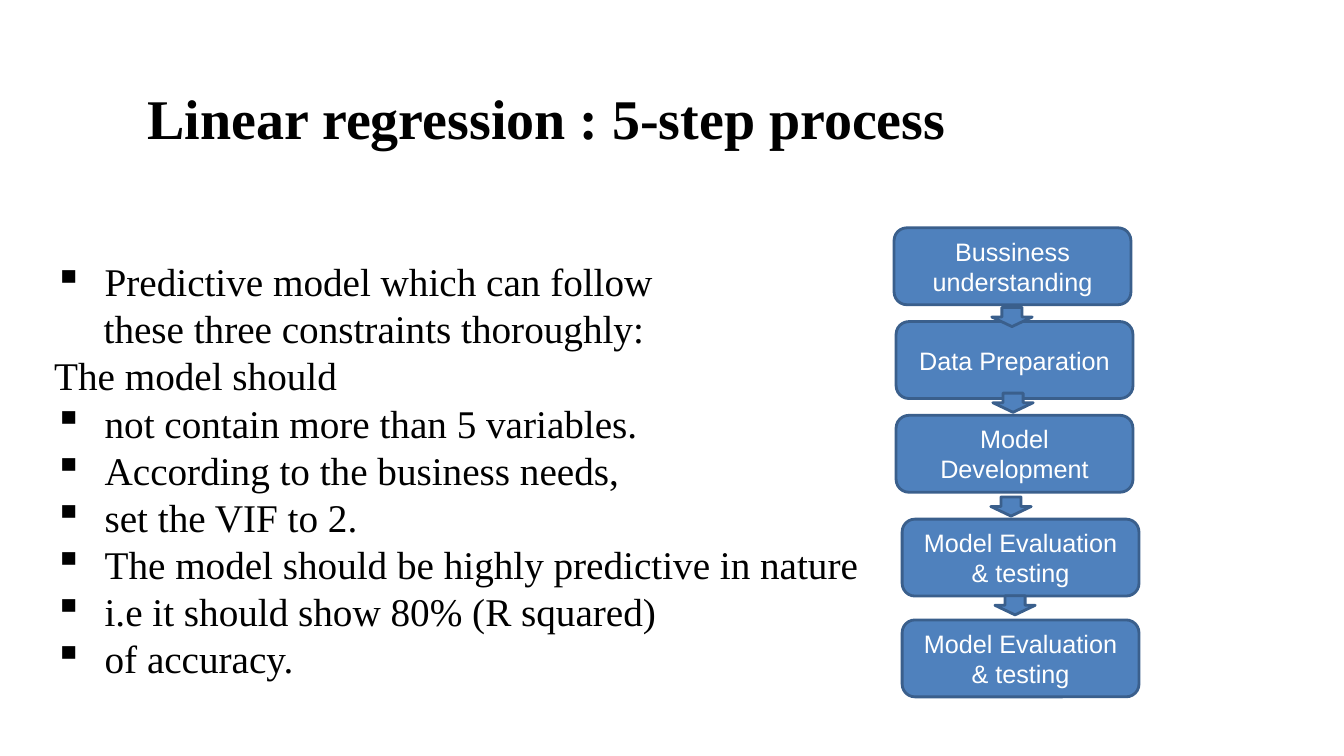
import pptx
import pptx.util
import pptx.dml.color
import pptx.enum.shapes
import pptx.enum.text
import pptx.oxml.ns
import lxml.etree
from typing import NamedTuple

Pt = pptx.util.Pt
Inches = pptx.util.Inches
Shape = pptx.enum.shapes.MSO_SHAPE
Align = pptx.enum.text.PP_ALIGN
Anchor = pptx.enum.text.MSO_ANCHOR

BLACK = pptx.dml.color.RGBColor(0x00, 0x00, 0x00)
WHITE = pptx.dml.color.RGBColor(0xFF, 0xFF, 0xFF)
BLUE = pptx.dml.color.RGBColor(0x4F, 0x81, 0xBD)
EDGE = pptx.dml.color.RGBColor(0x3A, 0x5F, 0x8C)
SERIF, SANS = "Times New Roman", "Arial"

deck = pptx.Presentation()
deck.slide_width, deck.slide_height = Inches(13.33), Inches(7.5)
slide = deck.slides.add_slide(deck.slide_layouts[6])

# Grid of 80 columns by 45 rows
COL = deck.slide_width / 80
ROW = deck.slide_height / 45


class Area(NamedTuple):
    col: float
    row: float
    cols: float
    rows: float

    def lengths(self) -> list[int]:
        return [round(n * unit) for n, unit in zip(self, (COL, ROW, COL, ROW))]


class Step(NamedTuple):
    text: str
    col: float
    row: float


class Arrow(NamedTuple):
    col: float
    row: float


class Point(NamedTuple):
    text: str
    mark: bool = True
    indent: float = 0


def style(para, face: str, size: int, color, bold: bool = False) -> None:
    for run in para.runs:
        font = run.font
        font.name, font.size, font.bold = face, Pt(size), bold
        font.color.rgb = color


def add_mark(para) -> None:
    props = para._p.get_or_add_pPr()
    props.set("marL", str(Inches(0.5)))
    props.set("indent", str(-Inches(0.5)))
    mark = lxml.etree.SubElement(props, pptx.oxml.ns.qn("a:buChar"))
    mark.set("char", "▪")


def add_frame(area: Area, anchor):
    frame = slide.shapes.add_textbox(*area.lengths()).text_frame
    frame.word_wrap = True
    frame.vertical_anchor = anchor
    return frame


def add_block(kind, area: Area):
    block = slide.shapes.add_shape(kind, *area.lengths())
    block.shadow.inherit = False
    block.fill.solid()
    block.fill.fore_color.rgb = BLUE
    block.line.color.rgb = EDGE
    block.line.width = Pt(2)
    return block


def add_step(step: Step) -> None:
    block = add_block(Shape.ROUNDED_RECTANGLE, Area(step.col, step.row, 14.1, 4.58))
    frame = block.text_frame
    frame.word_wrap = True
    frame.vertical_anchor = Anchor.MIDDLE
    frame.text = step.text
    frame.paragraphs[0].alignment = Align.CENTER
    style(frame.paragraphs[0], SANS, 18, WHITE)


def add_points(area: Area, points: list[Point]) -> None:
    frame = add_frame(area, Anchor.TOP)
    frame.text = "\n".join(point.text for point in points)
    for para, point in zip(frame.paragraphs, points):
        style(para, SERIF, 28, BLACK)
        if point.mark:
            add_mark(para)
        elif point.indent:
            para._p.get_or_add_pPr().set("marL", str(Inches(point.indent)))


# Body points
add_points(Area(2.64, 15.04, 73.26, 25.7), [
    Point("Predictive model which can follow"),
    Point("these three constraints thoroughly:", mark=False, indent=0.49),
    Point("The model should", mark=False),
    Point("not contain more than 5 variables."),
    Point("According to the business needs,"),
    Point("set the VIF to 2."),
    Point("The model should be highly predictive in nature"),
    Point("i.e it should show 80% (R squared)"),
    Point("of accuracy."),
])

# Title
title = add_frame(Area(8.2, 4.2, 60.3, 5.58), Anchor.MIDDLE)
title.text = "Linear regression : 5-step process"
style(title.paragraphs[0], SERIF, 40, BLACK, bold=True)

# Process steps
for step in (
    Step("Bussiness understanding", 53.22, 13.56),
    Step("Data Preparation", 53.34, 19.14),
    Step("Model Development", 53.34, 24.72),
    Step("Model Evaluation & testing", 53.7, 30.9),
    Step("Model Evaluation & testing", 53.7, 36.9),
):
    add_step(step)

# Arrows between steps
for arrow in (Arrow(59.04, 18.3), Arrow(59.1, 23.4), Arrow(58.98, 29.58), Arrow(59.22, 35.46)):
    add_block(Shape.DOWN_ARROW, Area(arrow.col, arrow.row, 2.4, 1.14))

deck.save("out.pptx")
